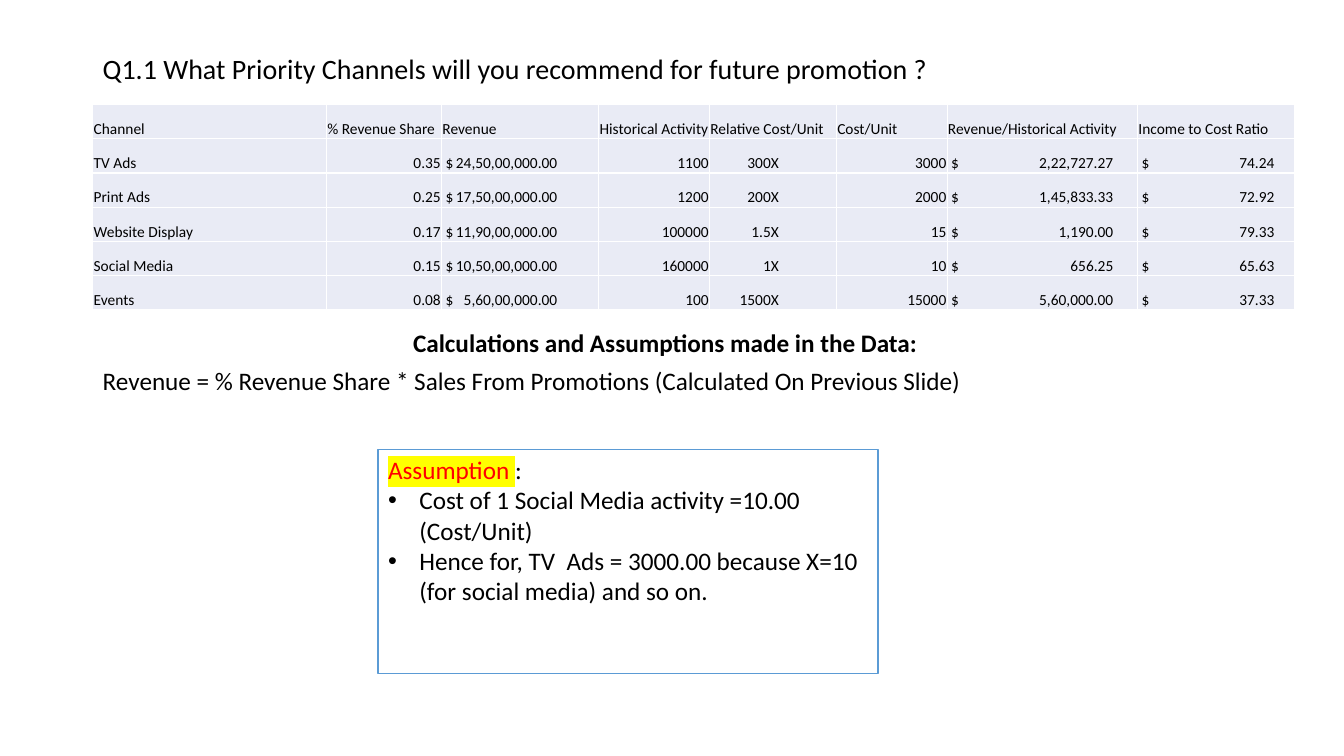
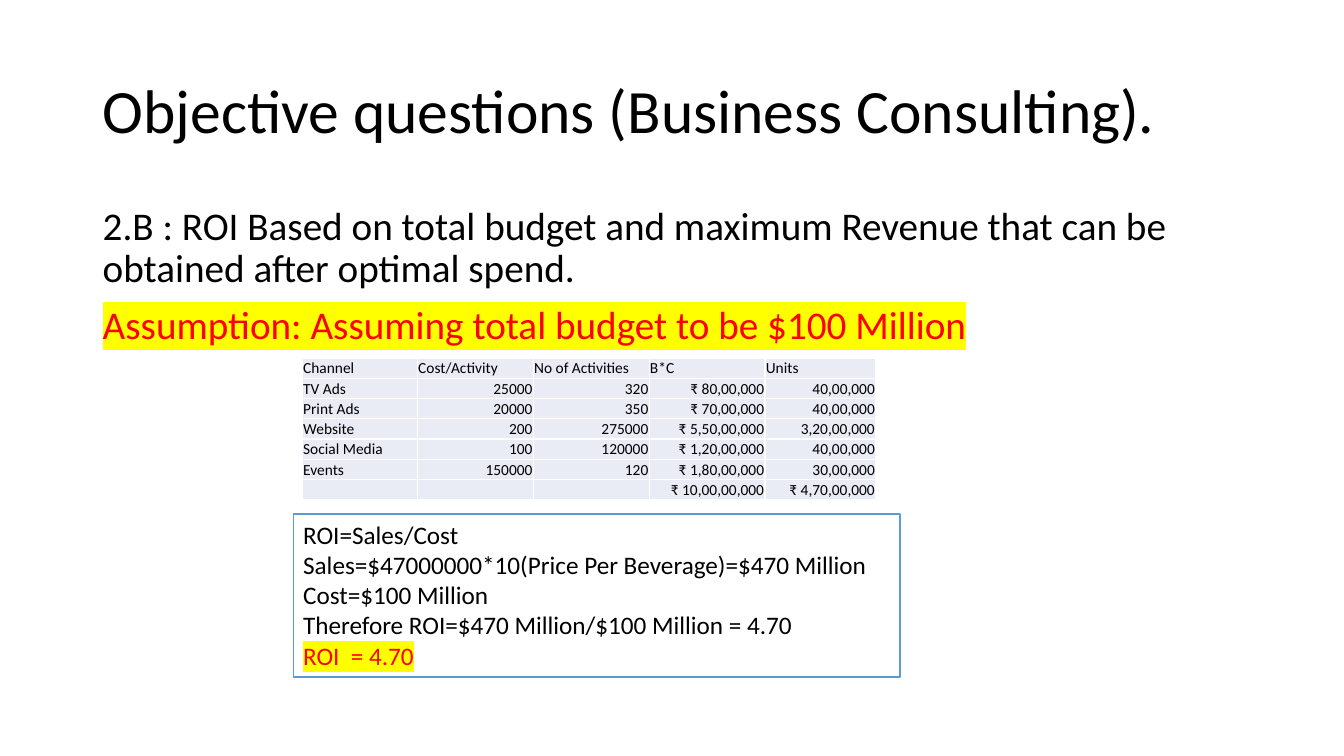
from lxml.etree import SubElement
from pptx import Presentation
from pptx.dml.color import RGBColor
from pptx.enum.shapes import MSO_SHAPE
from pptx.enum.text import MSO_ANCHOR, PP_ALIGN
from pptx.oxml.ns import qn
from pptx.util import Cm, Pt

FONT = "Calibri"
BLACK, WHITE, RED, YELLOW = "000000", "FFFFFF", "FF0000", "FFFF00"
CELL_FILL, BOX_LINE = "E9EBF5", "5B9BD5"
LEFT, CONTENT_WIDTH, TITLE_TOP = 2.34, 29.21, 1.02

PLAIN = {"color": BLACK}
STRONG = {"color": BLACK, "bold": True}
MARKED = {"color": RED, "highlight": YELLOW}

# Columns: width and the alignment of the values, which is "left", "right"
# or the position of a right-aligned tab stop.
CHANNEL_COLUMNS = [
    (5.89, "left"), (2.9, "right"), (3.96, 2.82), (2.79, "right"),
    (3.2, 1.65), (2.79, "right"), (4.8, 4.09), (3.96, 3.35),
]
CHANNEL_ROWS = [
    ("Channel", "% Revenue Share", "Revenue", "Historical Activity", "Relative Cost/Unit",
     "Cost/Unit", "Revenue/Historical Activity", "Income to Cost Ratio"),
    ("TV Ads", "0.35", "$\t24,50,00,000.00", "1100", "\t300X", "3000",
     "$\t2,22,727.27", "$\t74.24"),
    ("Print Ads", "0.25", "$\t17,50,00,000.00", "1200", "\t200X", "2000",
     "$\t1,45,833.33", "$\t72.92"),
    ("Website Display", "0.17", "$\t11,90,00,000.00", "100000", "\t1.5X", "15",
     "$\t1,190.00", "$\t79.33"),
    ("Social Media", "0.15", "$\t10,50,00,000.00", "160000", "\t1X", "10",
     "$\t656.25", "$\t65.63"),
    ("Events", "0.08", "$\t5,60,00,000.00", "100", "\t1500X", "15000",
     "$\t5,60,000.00", "$\t37.33"),
]
BUDGET_COLUMNS = [(2.9, "left")] + [(2.92, "right")] * 3 + [(2.79, "right")]
BUDGET_ROWS = [
    ("Channel", "Cost/Activity", "No of Activities", "B*C", "Units"),
    ("TV Ads", "25000", "320", "₹ 80,00,000", "40,00,000"),
    ("Print Ads", "20000", "350", "₹ 70,00,000", "40,00,000"),
    ("Website", "200", "275000", "₹ 5,50,00,000", "3,20,00,000"),
    ("Social Media", "100", "120000", "₹ 1,20,00,000", "40,00,000"),
    ("Events", "150000", "120", "₹ 1,80,00,000", "30,00,000"),
    ("", "", "", "₹ 10,00,00,000", "₹ 4,70,00,000"),
]

# Paragraphs are lists of (text, style) spans.
CHANNEL_TITLE = "Q1.1 What Priority Channels will you recommend for future promotion ?"
CALCULATIONS = [[("Calculations and Assumptions made in the Data:", STRONG)]]
REVENUE_RULE = [[("Revenue = % Revenue Share * Sales From Promotions "
                  "(Calculated On Previous Slide)", PLAIN)]]
ASSUMPTION = [[("Assumption ", MARKED), (":", PLAIN)]]
ASSUMPTION_POINTS = [
    [("Cost of 1 Social Media activity =10.00 (Cost/Unit)", PLAIN)],
    [("Hence for, TV  Ads = 3000.00 because X=10 (for social media) and so on.", PLAIN)],
]
BUDGET_TITLE = "Objective questions (Business Consulting)."
BUDGET_BODY = [
    [("2.B : ROI Based on total budget and maximum Revenue that can be obtained "
      "after optimal spend.", PLAIN)],
    [("Assumption: Assuming total budget to be $100 Million", MARKED)],
]
ROI_LINES = [
    [("ROI=Sales/Cost", PLAIN)],
    [("Sales=$47000000*10(Price Per Beverage)=$470 Million", PLAIN)],
    [("Cost=$100 Million", PLAIN)],
    [("Therefore ROI=$470 Million/$100 Million = 4.70", PLAIN)],
    [("ROI  = 4.70", MARKED)],
]


def rgb(value):
    return RGBColor.from_string(value)


def add_span(para, text, size, style):
    span = para.add_run()
    span.text = text
    span.font.size = Pt(size)
    span.font.bold = style.get("bold")
    span.font.color.rgb = rgb(style["color"])
    span.font.name = FONT
    if "highlight" in style:
        properties = span._r.get_or_add_rPr()
        mark = SubElement(properties, qn("a:highlight"))
        SubElement(mark, qn("a:srgbClr"), val=style["highlight"])
        properties.find(qn("a:solidFill")).addnext(mark)


def make_bullet(para):
    properties = para._p.get_or_add_pPr()
    indent = Cm(0.79)
    properties.set("marL", str(indent))
    properties.set("indent", str(-indent))
    SubElement(properties, qn("a:buFont"), typeface="Arial")
    SubElement(properties, qn("a:buChar"), char="•")


def write_paragraphs(frame, paragraphs, size, bullets_from=None, **spacing):
    frame.word_wrap = True
    for index, spans in enumerate(paragraphs):
        para = frame.add_paragraph() if index else frame.paragraphs[0]
        para.alignment = PP_ALIGN.LEFT
        for name, value in spacing.items():
            setattr(para, name, value)
        if bullets_from is not None and index >= bullets_from:
            make_bullet(para)
        for text, style in spans:
            add_span(para, text, size, style)


def add_text(page, place, paragraphs, size, anchor=MSO_ANCHOR.TOP, **spacing):
    box = page.shapes.add_textbox(*map(Cm, place))
    box.text_frame.vertical_anchor = anchor
    write_paragraphs(box.text_frame, paragraphs, size, **spacing)


def add_title(page, text, height, size):
    add_text(page, (LEFT, TITLE_TOP, CONTENT_WIDTH, height), [[(text, PLAIN)]], size,
             MSO_ANCHOR.MIDDLE, line_spacing=0.9)


def add_outlined_box(page, place, paragraphs, bullets_from=None):
    box = page.shapes.add_shape(MSO_SHAPE.RECTANGLE, *map(Cm, place))
    box.shadow.inherit = False
    box.fill.solid()
    box.fill.fore_color.rgb = rgb(WHITE)
    box.line.color.rgb = rgb(BOX_LINE)
    box.line.width = Pt(1)
    box.text_frame.vertical_anchor = MSO_ANCHOR.TOP
    write_paragraphs(box.text_frame, paragraphs, 18, bullets_from)


def fill_cell(cell, text, alignment):
    cell.fill.solid()
    cell.fill.fore_color.rgb = rgb(CELL_FILL)
    cell.vertical_anchor = MSO_ANCHOR.BOTTOM
    tabbed = "\t" in text
    margins = {"left": 0.1 if tabbed else 0.02, "top": 0.02, "right": 0.02, "bottom": 0}
    for side, margin in margins.items():
        setattr(cell, f"margin_{side}", Cm(margin))
    para = cell.text_frame.paragraphs[0]
    para.alignment = PP_ALIGN.RIGHT if alignment == "right" else PP_ALIGN.LEFT
    if tabbed:
        stops = SubElement(para._p.get_or_add_pPr(), qn("a:tabLst"))
        SubElement(stops, qn("a:tab"), pos=str(Cm(alignment)), algn="r")
    if text:
        add_span(para, text, 11, PLAIN)
    else:
        SubElement(para._p, qn("a:endParaRPr"), sz="1100")


def add_grid(page, left, top, row_height, columns, rows):
    """Add a table whose header row is left-aligned."""
    width = sum(column_width for column_width, _ in columns)
    place = (left, top, width, row_height * len(rows))
    grid = page.shapes.add_table(len(rows), len(columns), *map(Cm, place)).table
    grid.first_row = grid.horz_banding = False
    for row in grid.rows:
        row.height = Cm(row_height)
    for x, (column_width, alignment) in enumerate(columns):
        grid.columns[x].width = Cm(column_width)
        for y, row in enumerate(rows):
            fill_cell(grid.cell(y, x), row[x], alignment if y else "left")


def build_channel_page(page):
    add_title(page, CHANNEL_TITLE, 1.5, 20)
    add_grid(page, LEFT, 2.64, 0.86, CHANNEL_COLUMNS, CHANNEL_ROWS)
    add_text(page, (LEFT, 9.07, CONTENT_WIDTH, 1.02), REVENUE_RULE, 18)
    add_outlined_box(page, (9.53, 11.33, 12.6, 5.64), ASSUMPTION + ASSUMPTION_POINTS,
                     bullets_from=len(ASSUMPTION))
    add_text(page, (10.16, 8.13, 20.5, 1.02), CALCULATIONS, 18)


def build_budget_page(page):
    add_title(page, BUDGET_TITLE, 3.68, 44)
    add_text(page, (LEFT, 5.08, CONTENT_WIDTH, 12.09), BUDGET_BODY, 28,
             line_spacing=0.9, space_before=Pt(10))
    add_outlined_box(page, (7.39, 12.95, 15.29, 4.11), ROI_LINES)
    add_grid(page, 7.62, 9.02, 0.51, BUDGET_COLUMNS, BUDGET_ROWS)


def main():
    deck = Presentation()
    deck.slide_width, deck.slide_height = Cm(33.87), Cm(19.05)
    for build_page in (build_channel_page, build_budget_page):
        build_page(deck.slides.add_slide(deck.slide_layouts[6]))
    deck.save("out.pptx")


if __name__ == "__main__":
    main()
